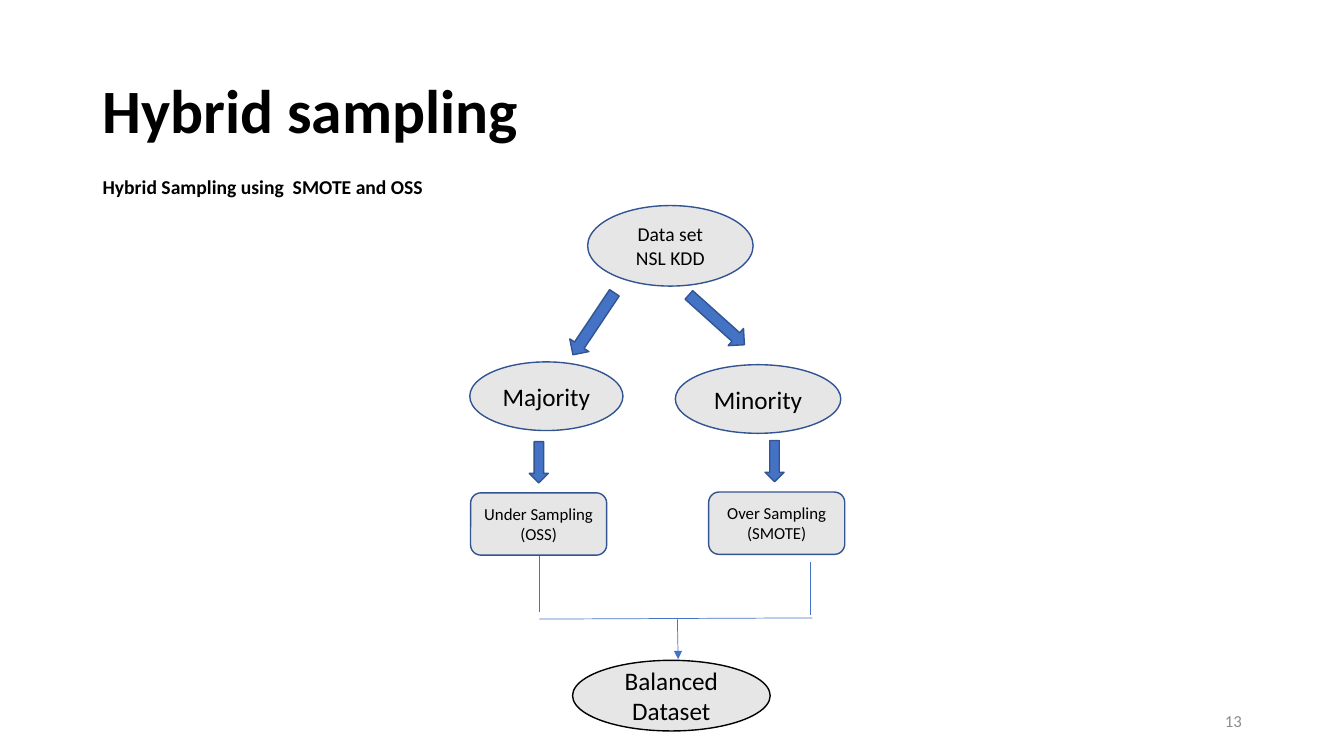
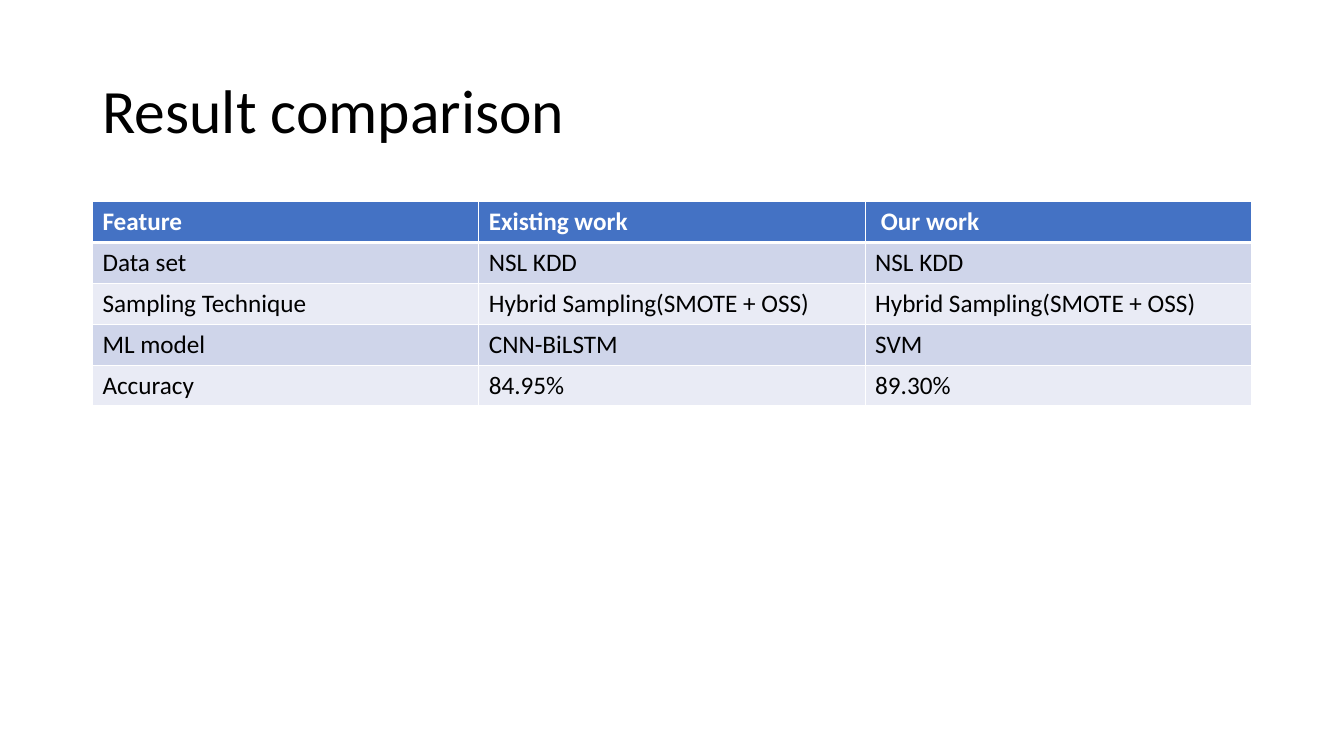
from dataclasses import dataclass

from lxml import etree
from pptx import Presentation
from pptx.dml.color import RGBColor
from pptx.enum import shapes, text
from pptx.oxml import ns
from pptx.util import Cm, Pt

FONT = "Calibri"
BLACK, WHITE, GRAY = "000000", "FFFFFF", "8C8C8C"
BLUE, DARK_BLUE, PALE = "4472C4", "325491", "E7E6E6"
BANDS = ("CFD5EA", "E9EBF5")
LEFT, WIDTH = 2.33, 29.21
TITLE_AND_CONTENT, TITLE_ONLY = 1, 5
SHAPE = shapes.MSO_SHAPE
ALIGN = text.PP_ALIGN
ANCHOR = text.MSO_ANCHOR


@dataclass(frozen=True)
class Area:
    left: float
    top: float
    width: float
    height: float

    def lengths(self) -> tuple:
        return Cm(self.left), Cm(self.top), Cm(self.width), Cm(self.height)


@dataclass(frozen=True)
class Node:
    label: str
    kind: shapes.MSO_SHAPE
    area: Area
    size: int
    outline: str = DARK_BLUE


@dataclass(frozen=True)
class BlockArrow:
    kind: shapes.MSO_SHAPE
    area: Area
    rotation: float = 0


@dataclass(frozen=True)
class Link:
    start: tuple[float, float]
    end: tuple[float, float]
    arrow: bool = False


NODES = (
    Node("Data set\nNSL KDD", SHAPE.OVAL, Area(14.81, 5.18, 4.17, 2.03), 14),
    Node("Majority", SHAPE.OVAL, Area(11.84, 9.12, 3.86, 1.73), 18),
    Node("Minority", SHAPE.OVAL, Area(17.02, 9.19, 4.17, 1.73), 18),
    Node("Under Sampling\n(OSS)", SHAPE.ROUNDED_RECTANGLE, Area(11.86, 12.42, 3.43, 1.57), 12),
    Node("Over Sampling\n(SMOTE)", SHAPE.ROUNDED_RECTANGLE, Area(17.86, 12.4, 3.43, 1.57), 12),
    Node("Balanced Dataset", SHAPE.OVAL, Area(14.43, 16.64, 4.98, 1.78), 18, BLACK),
)
BLOCK_ARROWS = (
    BlockArrow(SHAPE.RIGHT_ARROW, Area(14.02, 7.87, 1.88, 0.58), 123.8),
    BlockArrow(SHAPE.RIGHT_ARROW, Area(17.12, 7.77, 1.88, 0.58), 41.9),
    BlockArrow(SHAPE.DOWN_ARROW, Area(13.34, 11.13, 0.48, 1.04)),
    BlockArrow(SHAPE.DOWN_ARROW, Area(19.28, 11.1, 0.48, 1.04)),
)
LINKS = (
    Link((13.59, 14.02), (13.59, 15.42)),
    Link((13.59, 15.6), (20.47, 15.57)),
    Link((20.42, 14.17), (20.42, 15.49)),
    Link((17.07, 15.57), (17.09, 16.61), True),
)
RESULTS = (
    ("Feature", "Existing work", " Our work"),
    ("Data set", "NSL KDD", "NSL KDD"),
    ("Sampling Technique", "Hybrid Sampling(SMOTE + OSS)", "Hybrid Sampling(SMOTE + OSS)"),
    ("ML model", "CNN-BiLSTM", "SVM"),
    ("Accuracy", "84.95%", "89.30%"),
)


def color(value: str) -> RGBColor:
    return RGBColor.from_string(value)


def write(frame, label: str, size: float, shade: str = BLACK, bold: bool = False,
          align: ALIGN = ALIGN.LEFT) -> None:
    frame.text = label
    for para in frame.paragraphs:
        para.alignment = align
        para.font.name = FONT
        para.font.size = Pt(size)
        para.font.bold = bold
        para.font.color.rgb = color(shade)


def place(box, area: Area) -> None:
    box.left, box.top, box.width, box.height = area.lengths()


def add_page(deck, layout: int, title: str, bold: bool = False):
    page = deck.slides.add_slide(deck.slide_layouts[layout])
    box = page.shapes.title
    place(box, Area(LEFT, 1.02, WIDTH, 3.68))
    frame = box.text_frame
    frame.auto_size = text.MSO_AUTO_SIZE.NONE
    frame.vertical_anchor = ANCHOR.MIDDLE
    write(frame, title, 44, bold=bold)
    frame.paragraphs[0].line_spacing = 0.9
    return page


def fill_body(page, label: str) -> None:
    box = page.placeholders[1]
    place(box, Area(LEFT, 4.34, WIDTH, 14.71))
    frame = box.text_frame
    frame.auto_size = text.MSO_AUTO_SIZE.NONE
    write(frame, label, 14, bold=True)
    para = frame.paragraphs[0]
    para.line_spacing = 0.9
    para.space_before = Pt(10)
    properties = para._p.get_or_add_pPr()
    properties.set("marL", "0")
    properties.set("indent", "0")
    bullet = etree.Element(ns.qn("a:buNone"))
    properties.find(ns.qn("a:defRPr")).addprevious(bullet)


def add_figure(page, kind: shapes.MSO_SHAPE, area: Area, fill: str, outline: str):
    figure = page.shapes.add_shape(kind, *area.lengths())
    figure.shadow.inherit = False
    figure.fill.solid()
    figure.fill.fore_color.rgb = color(fill)
    figure.line.color.rgb = color(outline)
    figure.line.width = Pt(1)
    return figure


def add_node(page, node: Node) -> None:
    frame = add_figure(page, node.kind, node.area, PALE, node.outline).text_frame
    frame.word_wrap = True
    frame.vertical_anchor = ANCHOR.MIDDLE
    write(frame, node.label, node.size, align=ALIGN.CENTER)


def add_block_arrow(page, arrow: BlockArrow) -> None:
    add_figure(page, arrow.kind, arrow.area, BLUE, DARK_BLUE).rotation = arrow.rotation


def add_link(page, link: Link) -> None:
    ends = (Cm(value) for value in link.start + link.end)
    line = page.shapes.add_connector(shapes.MSO_CONNECTOR.STRAIGHT, *ends)
    line.line.color.rgb = color(BLUE)
    line.line.width = Pt(0.5)
    if link.arrow:
        etree.SubElement(line.line._get_or_add_ln(), ns.qn("a:tailEnd"), type="triangle")
    etree.SubElement(line._element.spPr, ns.qn("a:effectLst"))


def add_page_number(page, number: str) -> None:
    frame = page.shapes.add_textbox(*Area(23.93, 17.65, 7.62, 1.02).lengths()).text_frame
    frame.word_wrap = True
    frame.vertical_anchor = ANCHOR.MIDDLE
    write(frame, number, 12, GRAY, align=ALIGN.RIGHT)


def add_borders(cell, widths: dict[str, float]) -> None:
    properties = cell._tc.get_or_add_tcPr()
    for side, width in widths.items():
        border = etree.SubElement(properties, ns.qn(f"a:ln{side}"), w=str(Pt(width)))
        paint = etree.SubElement(border, ns.qn("a:solidFill"))
        etree.SubElement(paint, ns.qn("a:srgbClr"), val=WHITE)


def add_results(page, rows: tuple) -> None:
    area = Area(LEFT, 5.08, WIDTH, 5.15)
    table = page.shapes.add_table(len(rows), len(rows[0]), *area.lengths()).table
    for row, labels in enumerate(rows):
        header = row == 0
        widths = {"L": 1, "R": 1, "T": 3 if row == 1 else 1, "B": 3 if header else 1}
        for column, label in enumerate(labels):
            cell = table.cell(row, column)
            add_borders(cell, widths)
            cell.fill.solid()
            cell.fill.fore_color.rgb = color(BLUE if header else BANDS[(row - 1) % 2])
            write(cell.text_frame, label, 18, WHITE if header else BLACK, header)


def build_sampling(deck) -> None:
    page = add_page(deck, TITLE_AND_CONTENT, "Hybrid sampling", bold=True)
    fill_body(page, "Hybrid Sampling using  SMOTE and OSS")
    for node in NODES:
        add_node(page, node)
    for arrow in BLOCK_ARROWS:
        add_block_arrow(page, arrow)
    for link in LINKS:
        add_link(page, link)
    add_page_number(page, "13")


def build_comparison(deck) -> None:
    add_results(add_page(deck, TITLE_ONLY, "Result comparison"), RESULTS)


def main() -> None:
    deck = Presentation()
    deck.slide_width, deck.slide_height = Cm(33.87), Cm(19.05)
    build_sampling(deck)
    build_comparison(deck)
    deck.save("out.pptx")


if __name__ == "__main__":
    main()
